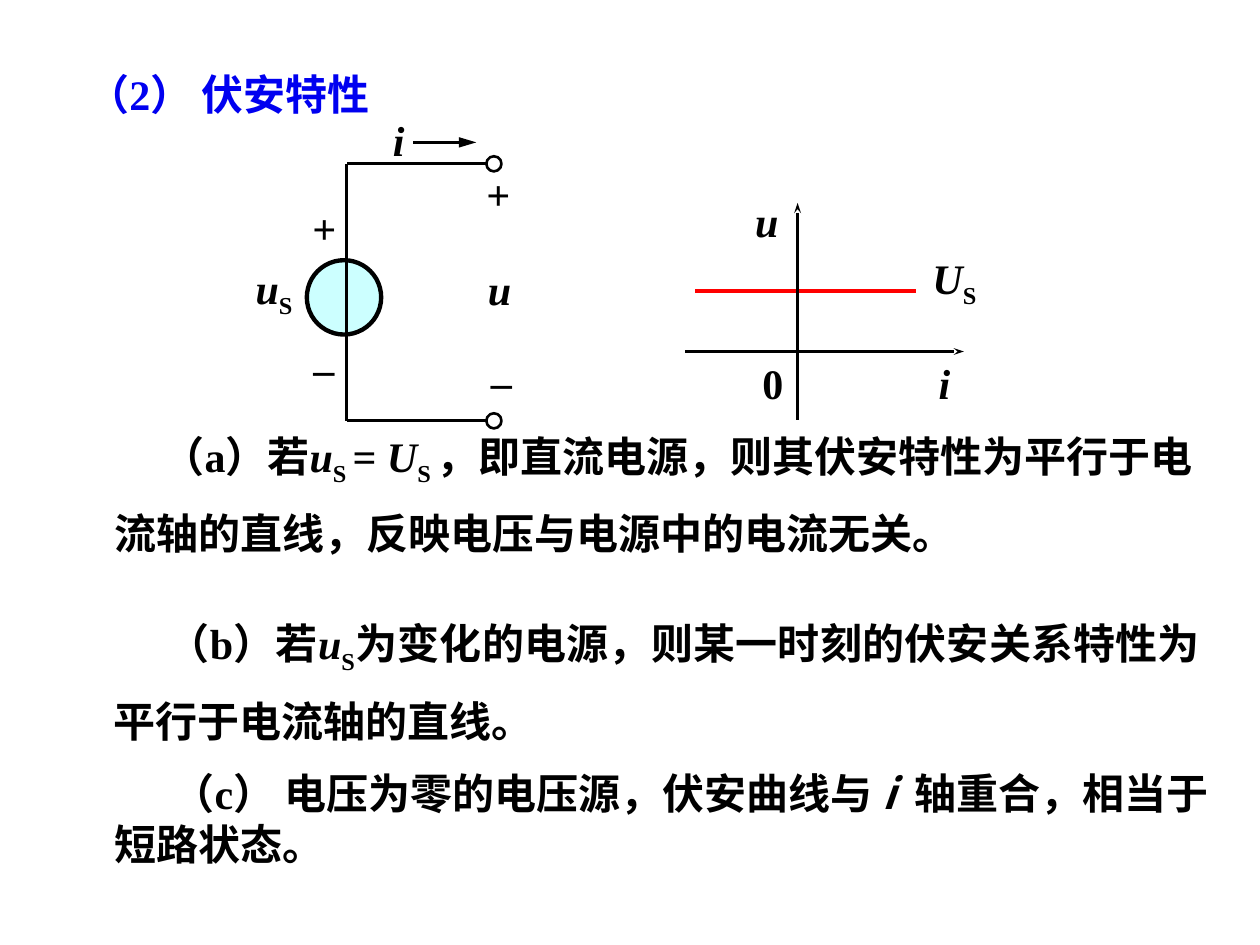
from dataclasses import dataclass

from lxml import etree
from pptx import Presentation
from pptx.dml.color import RGBColor
from pptx.enum import shapes as es, text as et
from pptx.oxml.ns import qn
from pptx.util import Inches, Pt


@dataclass(frozen=True)
class Theme:
    ink: str = "000000"
    heading: str = "0000F0"
    source: str = "CCFFFF"
    curve: str = "FF0000"
    latin: str = "Times New Roman"
    cjk: str = "Noto Sans CJK SC"
    size: int = 24
    thin: float = 1.5
    thick: float = 2.5


T = Theme()
ITALIC = {"italic": True}
SUB = {"sub": True}
CJK = {"name": T.cjk}
CURRENT_ARROW = {"type": "triangle", "w": "med", "len": "lg"}
AXIS_ARROW = {"type": "stealth", "w": "sm", "len": "med"}


def add_runs(p, runs, color=T.ink):
    """Fill a paragraph from (text, format) pairs; sub lowers a run."""
    for text, extra in runs:
        r = p.add_run()
        r.text = text
        fmt = {"name": T.latin, "size": Pt(T.size), "bold": True, "italic": False, **extra}
        sub = fmt.pop("sub", False)
        for key, value in fmt.items():
            setattr(r.font, key, value)
        r.font.color.rgb = RGBColor.from_string(color)
        rPr = r._r.get_or_add_rPr()
        rPr.find(qn("a:latin")).addnext(etree.Element(qn("a:ea"), typeface=T.cjk))
        if sub:
            rPr.set("baseline", "-25000")


def set_frame(tf, wrap):
    fmt = {"word_wrap": wrap, "auto_size": et.MSO_AUTO_SIZE.NONE,
           "vertical_anchor": et.MSO_ANCHOR.MIDDLE,
           "margin_left": Inches(0.1), "margin_right": Inches(0.1),
           "margin_top": Inches(0.05), "margin_bottom": Inches(0.05)}
    for key, value in fmt.items():
        setattr(tf, key, value)


def fill_placeholder(sp, box, runs, color=T.ink, margin=0, indent=0, **fmt):
    sp.left, sp.top, sp.width, sp.height = map(Inches, box)
    set_frame(sp.text_frame, True)
    p = sp.text_frame.paragraphs[0]
    for key, value in {"space_before": Pt(0), "line_spacing": 1.0, **fmt}.items():
        setattr(p, key, value)
    pPr = p._p.get_or_add_pPr()
    pPr.set("marL", str(Inches(margin)))
    pPr.set("indent", str(Inches(indent)))
    etree.SubElement(pPr, qn("a:buNone"))
    add_runs(p, runs, color)


class Figure:
    """A group whose parts are placed relative to its top left corner."""

    def __init__(self, s, x, y):
        self.shapes = s.shapes.add_group_shape().shapes
        self.x, self.y = x, y

    def at(self, x, y):
        return Inches(self.x + x), Inches(self.y + y)

    def line(self, start, end, color=T.ink, width=T.thin, arrow=None):
        c = self.shapes.add_connector(es.MSO_CONNECTOR.STRAIGHT, *self.at(*start), *self.at(*end))
        c.line.color.rgb = RGBColor.from_string(color)
        c.line.width = Pt(width)
        if arrow:
            etree.SubElement(c.line._get_or_add_ln(), qn("a:tailEnd"), arrow)
        etree.SubElement(c._element.spPr, qn("a:effectLst"))

    def circle(self, cx, cy, d, width, fill=None):
        sp = self.shapes.add_shape(es.MSO_SHAPE.OVAL, *self.at(cx - d / 2, cy - d / 2),
                                   Inches(d), Inches(d))
        sp.shadow.inherit = False
        if fill:
            sp.fill.solid()
            sp.fill.fore_color.rgb = RGBColor.from_string(fill)
        else:
            sp.fill.background()
        sp.line.color.rgb = RGBColor.from_string(T.ink)
        sp.line.width = Pt(width)

    def label(self, x, y, w, *runs, rotation=0):
        sp = self.shapes.add_textbox(*self.at(x, y), Inches(w), Inches(0.5))
        sp.rotation = rotation
        set_frame(sp.text_frame, False)
        p = sp.text_frame.paragraphs[0]
        p.alignment = et.PP_ALIGN.CENTER
        add_runs(p, runs)


def draw_circuit(s, x, y):
    fig = Figure(s, x, y)
    left, right, top, bottom, dot = 0.83, 1.94, 0.44, 2.48, 0.12
    fig.circle(0.81, 1.5, 0.59, T.thick, T.source)
    fig.line((left, bottom), (left, top))
    for level in (top, bottom):
        fig.line((right, level), (left, level))
        fig.circle(right + dot / 2, level, dot, T.thin)
    fig.line((1.36, 0.27), (1.86, 0.27), arrow=CURRENT_ARROW)
    fig.label(1.1, 0, 0.29, ("i", ITALIC))
    fig.label(0, 1.2, 0.51, ("u", ITALIC), ("S", SUB))
    fig.label(1.85, 1.18, 0.39, ("u", ITALIC))
    for px, py in ((0.46, 0.74), (1.84, 0.47)):
        fig.label(px, py, 0.39, ("+", {}), rotation=180)
    for mx, my in ((0.48, 1.7), (1.89, 1.8)):
        fig.label(mx, my, 0.34, ("_", {}))


def draw_characteristic(s, x, y):
    fig = Figure(s, x, y)
    fig.line((0.08, 0.81), (1.83, 0.81), T.curve, T.thick)
    fig.line((0, 1.29), (2.21, 1.29), arrow=AXIS_ARROW)
    fig.line((0.89, 1.83), (0.89, 0.11), arrow=AXIS_ARROW)
    fig.label(1.85, 0.48, 0.57, ("U", ITALIC), ("S", SUB))
    fig.label(0.45, 0, 0.39, ("u", ITALIC))
    fig.label(1.91, 1.29, 0.29, ("i", ITALIC))
    fig.label(0.51, 1.29, 0.37, ("0", {}))


def write_text(s):
    title, dc, varying, zero, spare = s.placeholders
    spare._element.getparent().remove(spare._element)
    left, justify = et.PP_ALIGN.LEFT, et.PP_ALIGN.JUSTIFY
    fill_placeholder(title, (0.32, 0.49, 2.99, 0.5), [("（2） 伏安特性", {})], T.heading,
                     alignment=et.PP_ALIGN.CENTER)
    fill_placeholder(dc, (0.29, 3.22, 9.35, 1.22), [
        ("（a）若", {}), ("u", ITALIC), ("S ", SUB), ("= ", {}), ("U", ITALIC), ("S ", SUB),
        ("，即直流电源，则其伏安特性为平行于电流轴的直线，反映电压与电源中的电流无关。", {}),
    ], margin=0.52, indent=0.38, alignment=left, line_spacing=1.4)
    fill_placeholder(varying, (0.28, 4.71, 9.35, 1.22), [
        ("（b）若", {}), ("u", ITALIC), ("S", SUB),
        ("为变化的电源，则某一时刻的伏安关系特性为平行于电流轴的直线", {}), ("。", CJK),
    ], margin=0.52, indent=0.43, alignment=justify, line_spacing=1.4)
    fill_placeholder(zero, (0.24, 6.04, 9.49, 0.91), [
        ("（c） ", {}), ("电压为零的电压源，伏安曲线与 ", CJK), ("i  ", {**CJK, **ITALIC}),
        ("轴重合，相当于短路状态。", CJK),
    ], margin=0.57, indent=0.46, alignment=left)


def main():
    prs = Presentation()
    prs.slide_width, prs.slide_height = Inches(10), Inches(7.5)
    s = prs.slides.add_slide(prs.slide_layouts.get_by_name("Comparison"))
    write_text(s)
    draw_circuit(s, 1.92, 0.86)
    draw_characteristic(s, 5.44, 1.5)
    prs.save("out.pptx")


if __name__ == "__main__":
    main()
